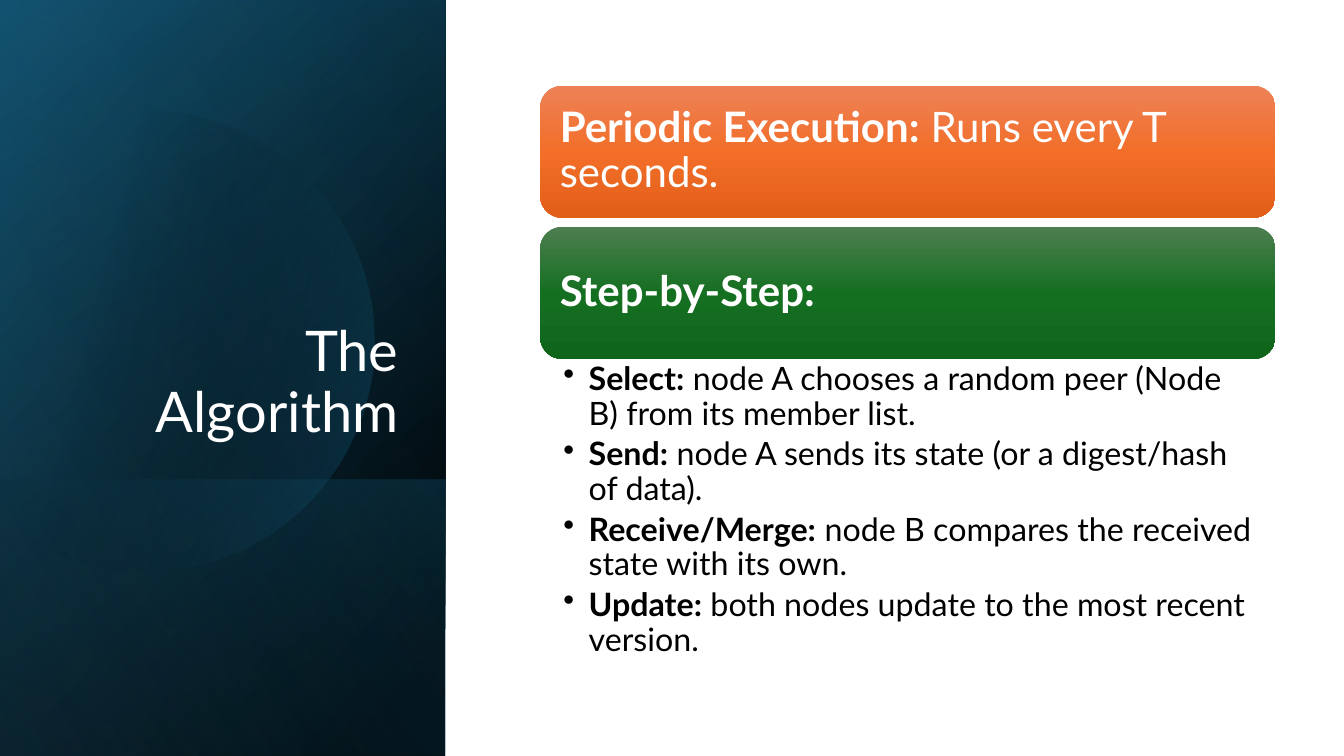
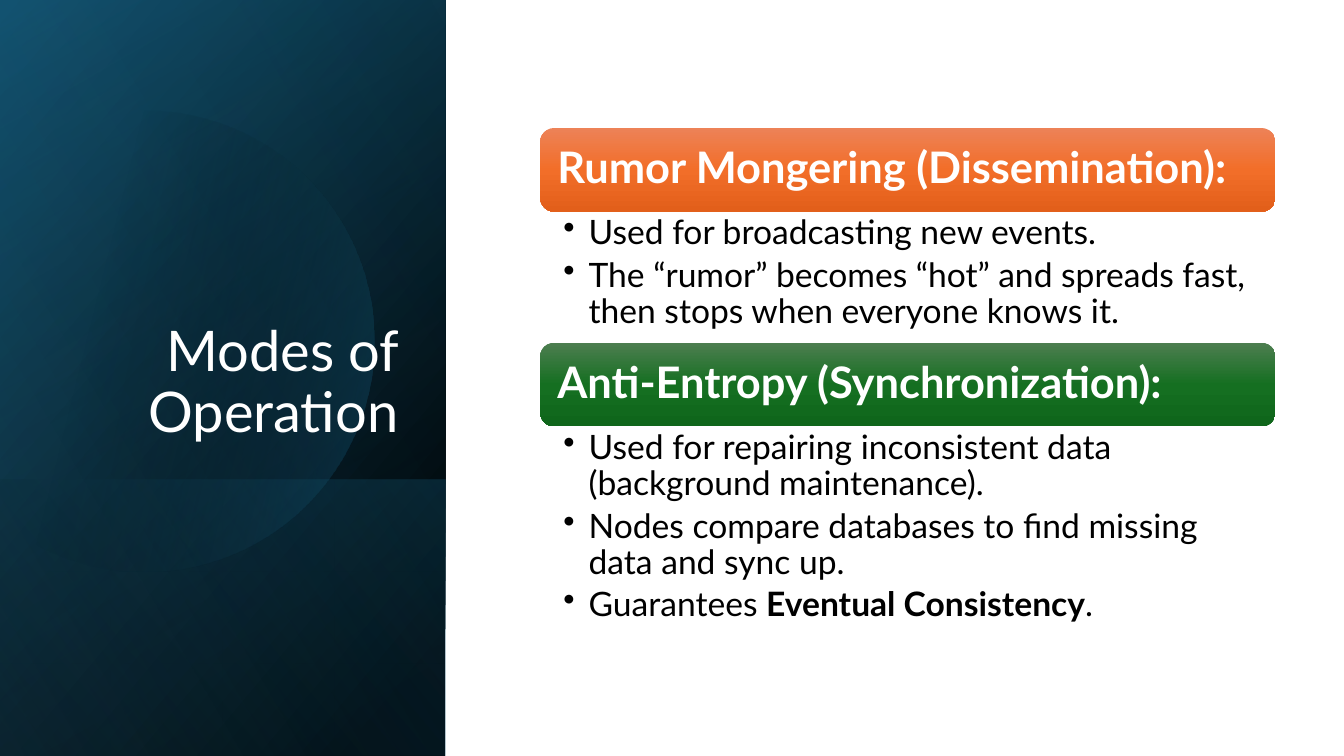
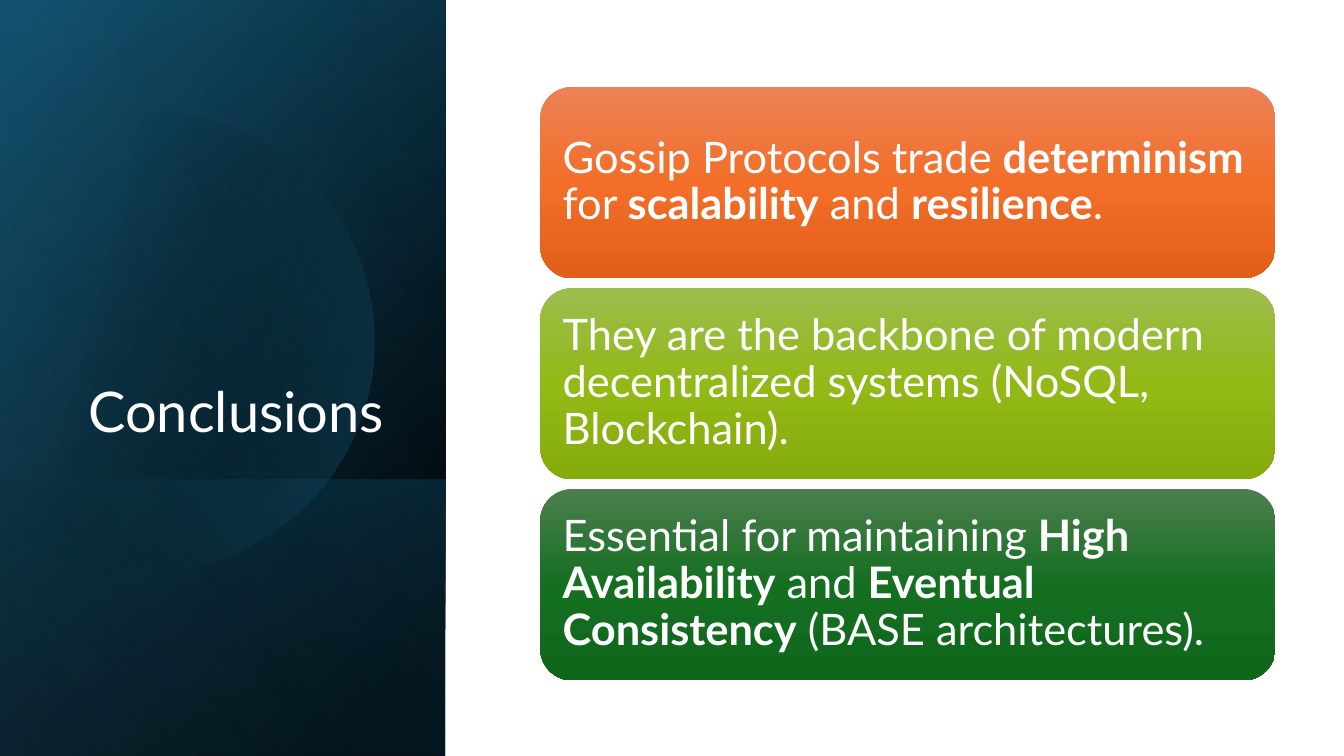
import math
import pptx
import pptx.util
import pptx.dml.color
import pptx.enum.shapes
import pptx.enum.text
import pptx.oxml
import pptx.oxml.ns

WIDTH, HEIGHT = 13.33, 7.5
FONT = "Lato"
COLORS = {
    "white": "FFFFFF", "black": "000000", "navy": "104862",
    "teal": "156082", "sky": "46B1E1",
}
CARDS = {
    "orange": ("ED8257", "F26E29", "E25F1A"),
    "lime": ("9CBD4E", "92B916", "85AB0D"),
    "green": ("4D7E50", "156F21", "0F661B"),
}
PANEL = (0, 0, 33.15, 100)
FOOT = (0, 63.47, 33.15, 36.53)
TITLE = (4.8, 24.53, 25.58, 34.93)
BODY_LEFT, BODY_WIDTH = 40.2, 54.7
ALIGN = pptx.enum.text.PP_ALIGN
ANCHOR = pptx.enum.text.MSO_ANCHOR
SHAPE = pptx.enum.shapes.MSO_SHAPE


def col(share):
    return pptx.util.Inches(WIDTH * share / 100)


def row(share):
    return pptx.util.Inches(HEIGHT * share / 100)


def place(box):
    left, top, width, height = box
    return col(left), row(top), col(width), row(height)


def shade(shape, stops, angle):
    shape.shadow.inherit = False
    shape.line.fill.background()
    shape.fill.background()
    marks = "".join(
        f'<a:gs pos="{pos * 1000}"><a:srgbClr val="{color}">'
        f'<a:alpha val="{alpha * 1000}"/></a:srgbClr></a:gs>'
        for pos, color, alpha in stops
    )
    grad = pptx.oxml.parse_xml(
        f'<a:gradFill {pptx.oxml.ns.nsdecls("a")} rotWithShape="1">'
        f'<a:gsLst>{marks}</a:gsLst>'
        f'<a:lin ang="{angle * 60000}" scaled="0"/></a:gradFill>'
    )
    props = shape.element.spPr
    props.replace(props.find(pptx.oxml.ns.qn("a:noFill")), grad)


def layer(slide, box, stops, angle):
    left, top, width, height = place(box)
    shape = slide.shapes.add_shape(
        SHAPE.RECTANGLE,
        left + (width - height) // 2, top + (height - width) // 2,
        height, width,
    )
    shape.rotation = 90
    shape.element.spPr.xfrm.set("flipH", "1")
    shade(shape, stops, angle)


def disc(slide, mid_x, mid_y, radius, stops, angle):
    x, y, size = col(mid_x), row(mid_y), col(radius)
    reach = math.acos(-x / size)
    count = 120
    turns = [reach * (2 * step / count - 1) for step in range(count + 1)]
    points = [(x + size * math.cos(turn), y + size * math.sin(turn))
              for turn in turns]
    outline = slide.shapes.build_freeform(*points[0])
    outline.add_line_segments(points[1:], close=True)
    shade(outline.convert_to_shape(), stops, angle)


def write(para, text, size, color):
    para.line_spacing = 0.9
    for index, part in enumerate(text.split("*")):
        if part:
            run = para.add_run()
            run.text = part
            run.font.name = FONT
            run.font.size = pptx.util.Pt(size)
            run.font.bold = index % 2 == 1
            run.font.color.rgb = pptx.dml.color.RGBColor.from_string(COLORS[color])


def inset(frame, side, edge):
    frame.word_wrap = True
    frame.margin_left = frame.margin_right = pptx.util.Inches(side)
    frame.margin_top = frame.margin_bottom = pptx.util.Inches(edge)


def panel(slide, title):
    black, teal = COLORS["black"], COLORS["teal"]
    layer(slide, PANEL, [(8, black, 100), (100, COLORS["navy"], 100)], 50)
    layer(slide, PANEL, [(0, black, 0), (99, teal, 46)], 30)
    layer(slide, FOOT, [(2, teal, 29), (100, black, 30)], 130)
    disc(slide, 10.75, 45.07, 17.14, [(29, black, 0), (100, teal, 43)], 14)
    layer(slide, PANEL, [(0, black, 0), (99, COLORS["sky"], 11)], 120)
    frame = slide.shapes.add_textbox(*place(TITLE)).text_frame
    inset(frame, 0.1, 0.05)
    frame.vertical_anchor = ANCHOR.BOTTOM
    para = frame.paragraphs[0]
    para.alignment = ALIGN.RIGHT
    write(para, title, 40, "white")


def card(slide, box, hue, text, size):
    shape = slide.shapes.add_shape(SHAPE.ROUNDED_RECTANGLE, *place(box))
    stops = [(pos, color, 100) for pos, color in zip((0, 50, 100), CARDS[hue])]
    shade(shape, stops, 90)
    frame = shape.text_frame
    inset(frame, 0.13, 0.13)
    frame.vertical_anchor = ANCHOR.MIDDLE
    para = frame.paragraphs[0]
    para.alignment = ALIGN.LEFT
    write(para, text, size, "white")


def points(slide, box, lines, size):
    frame = slide.shapes.add_textbox(*place(box)).text_frame
    inset(frame, 0.23, 0.04)
    for index, line in enumerate(lines):
        para = frame.add_paragraph() if index else frame.paragraphs[0]
        props = para._p.get_or_add_pPr()
        props.set("marL", "228600")
        props.set("indent", "-228600")
        props.append(pptx.oxml.parse_xml(
            f'<a:buChar {pptx.oxml.ns.nsdecls("a")} char="•"/>'))
        para.space_after = pptx.util.Pt(round(size * 0.18, 1))
        write(para, line, size, "black")


def stack(slide, top, gap, head, size, parts):
    for hue, height, text in parts:
        box = (BODY_LEFT, top, BODY_WIDTH, height)
        if hue:
            card(slide, box, hue, text, head)
        else:
            points(slide, box, text, size)
        top += height + gap


SLIDES = [
    ("The Algorithm", 11.33, 1.2, 30, 23, [
        ("orange", 17.47, "*Periodic Execution:* Runs every T seconds."),
        ("green", 17.47, "*Step-by-Step:*"),
        (None, 42.53, [
            "*Select:* node A chooses a random peer (Node B) from its member list.",
            "*Send:* node A sends its state (or a digest/hash of data).",
            "*Receive/Merge:* node B compares the received state with its own.",
            "*Update:* both nodes update to the most recent version.",
        ]),
    ]),
    ("Modes of Operation", 16.93, 0, 31, 24, [
        ("orange", 11.07, "*Rumor Mongering (Dissemination):*"),
        (None, 17.33, [
            "Used for broadcasting new events.",
            "The “rumor” becomes “hot” and spreads fast, then stops when everyone knows it.",
        ]),
        ("green", 11.07, "*Anti-Entropy (Synchronization):*"),
        (None, 28.13, [
            "Used for repairing inconsistent data (background maintenance).",
            "Nodes compare databases to find missing data and sync up.",
            "Guarantees *Eventual Consistency*.",
        ]),
    ]),
    ("Conclusions ", 11.47, 1.27, 31, 24, [
        ("orange", 25.33,
         "Gossip Protocols trade *determinism* for *scalability* and *resilience*."),
        ("lime", 25.33,
         "They are the backbone of modern decentralized systems (NoSQL, Blockchain)."),
        ("green", 25.33,
         "Essential for maintaining *High Availability* and *Eventual Consistency*"
         " (BASE architectures)."),
    ]),
]


def main():
    deck = pptx.Presentation()
    deck.slide_width = col(100)
    deck.slide_height = row(100)
    for title, top, gap, head, size, parts in SLIDES:
        slide = deck.slides.add_slide(deck.slide_layouts[6])
        panel(slide, title)
        if title == "The Algorithm":
            stack(slide, top, gap, head, size, parts[:2])
            lower = top + 2 * parts[0][1] + gap
            stack(slide, lower, 0, head, size, parts[2:])
        else:
            stack(slide, top, gap, head, size, parts)
    deck.save("out.pptx")


if __name__ == "__main__":
    main()
